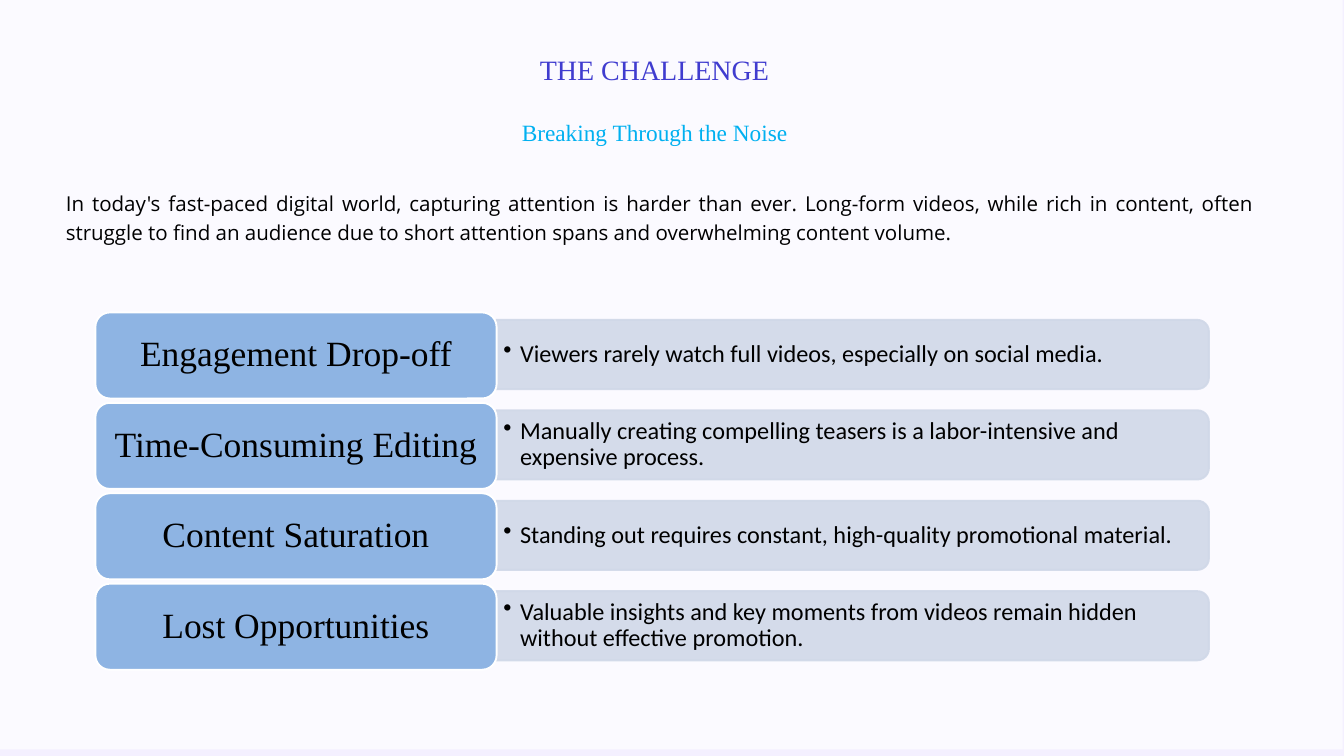
from dataclasses import dataclass

from lxml import etree
from pptx import Presentation
from pptx.dml.color import RGBColor
from pptx.enum.shapes import MSO_SHAPE
from pptx.enum.text import MSO_ANCHOR, MSO_AUTO_SIZE, PP_ALIGN
from pptx.oxml.ns import qn
from pptx.util import Inches, Pt

RECTANGLE = MSO_SHAPE.RECTANGLE
ROUNDED = MSO_SHAPE.ROUNDED_RECTANGLE
ROUNDED_TOP = MSO_SHAPE.ROUND_2_SAME_RECTANGLE
TOP, MIDDLE = MSO_ANCHOR.TOP, MSO_ANCHOR.MIDDLE
LEFT, CENTER, JUSTIFY = PP_ALIGN.LEFT, PP_ALIGN.CENTER, PP_ALIGN.JUSTIFY
GROW = MSO_AUTO_SIZE.SHAPE_TO_FIT_TEXT
NO_FIT = MSO_AUTO_SIZE.NONE

SLIDE_WIDTH, SLIDE_HEIGHT = 20, 11.25
COLUMNS = ROWS = 100
FIRST_ROW, ROW_PITCH = 41.33, 11.96

CHALLENGES = [
    ("Engagement Drop-off",
     "Viewers rarely watch full videos, especially on social media."),
    ("Time-Consuming Editing",
     "Manually creating compelling teasers is a labor-intensive and expensive process."),
    ("Content Saturation",
     "Standing out requires constant, high-quality promotional material."),
    ("Lost Opportunities",
     "Valuable insights and key moments from videos remain hidden without effective promotion."),
]
INTRO = ("In today's fast-paced digital world, capturing attention is harder than ever. "
         "Long-form videos, while rich in content, often struggle to find an audience due to "
         "short attention spans and overwhelming content volume.")


@dataclass(frozen=True)
class TextStyle:
    """Font, size, colour and paragraph layout of one kind of text."""
    font: str
    size: float
    color: str
    align: PP_ALIGN
    spacing: float
    anchor: MSO_ANCHOR = TOP
    insets: tuple = (0, 0)
    margin: float = 0
    bullet: str = ""


@dataclass(frozen=True)
class Theme:
    """Colours and type styles of the slide."""
    backdrop: str = "F4F0FF"
    sheet: str = "FBFAFF"
    card: str = "8EB4E3"
    card_edge: str = "FFFFFF"
    panel: str = "D0D8E8"
    panel_opacity: int = 90
    edge: float = 2
    title: TextStyle = TextStyle("Times New Roman", 30, "403CCF", CENTER, Pt(30))
    subtitle: TextStyle = TextStyle("Times New Roman", 25, "00B0F0", CENTER, Pt(83.8))
    intro: TextStyle = TextStyle("Open Sans", 22, "000000", JUSTIFY, Pt(31.2), margin=0.16)
    label: TextStyle = TextStyle("Times New Roman", 38, "000000", CENTER, 0.9, MIDDLE,
                                 (0.16, 0.08))
    detail: TextStyle = TextStyle("Calibri", 26, "000000", LEFT, 0.9, MIDDLE,
                                  (0.11, 0.05), 0.25, "•")


class ChallengeSlide:
    """Draws elements on one page, measured in grid columns and rows."""

    def __init__(self, page, theme):
        self.page = page
        self.theme = theme

    def place(self, left, top, width, height):
        """Turn grid columns and rows into slide lengths."""
        column, row = SLIDE_WIDTH / COLUMNS, SLIDE_HEIGHT / ROWS
        return (Inches(left * column), Inches(top * row),
                Inches(width * column), Inches(height * row))

    def shape(self, kind, bounds, fill, edge=None):
        """Add a flat preset shape at slide lengths."""
        shape = self.page.shapes.add_shape(kind, *bounds)
        shape.shadow.inherit = False
        shape.fill.solid()
        shape.fill.fore_color.rgb = RGBColor.from_string(fill)
        if edge:
            shape.line.color.rgb = RGBColor.from_string(edge)
            shape.line.width = Pt(self.theme.edge)
        else:
            shape.line.fill.background()
        return shape

    def layer(self, left, top, fill):
        """Add a slide-sized background layer."""
        self.shape(RECTANGLE, self.place(left, top, COLUMNS, ROWS), fill)

    def fill_text(self, box, content, style):
        """Set the single paragraph of a box in a text style."""
        frame = box.text_frame
        frame.word_wrap = True
        frame.vertical_anchor = style.anchor
        frame.margin_left = frame.margin_right = Inches(style.insets[0])
        frame.margin_top = frame.margin_bottom = Inches(style.insets[1])
        para = frame.paragraphs[0]
        para.alignment = style.align
        para.line_spacing = style.spacing
        if style.margin:
            para.level = 1
            properties = para._p.get_or_add_pPr()
            properties.set("marL", str(Inches(style.margin)))
            properties.set("indent", str(-Inches(style.margin) if style.bullet else 0))
            if style.bullet:
                etree.SubElement(properties, qn("a:buChar"), char=style.bullet)
        span = para.add_run()
        span.text = content
        span.font.name = style.font
        span.font.size = Pt(style.size)
        span.font.color.rgb = RGBColor.from_string(style.color)

    def text(self, left, top, width, height, content, style, fit=NO_FIT):
        """Add a text box."""
        box = self.page.shapes.add_textbox(*self.place(left, top, width, height))
        self.fill_text(box, content, style)
        box.text_frame.auto_size = fit

    def panel(self, left, top, width, height):
        """Add a translucent panel rounded on its right side."""
        x, y, across, down = self.place(left, top, width, height)
        shift = (across - down) // 2
        panel = self.shape(ROUNDED_TOP, (x + shift, y - shift, down, across),
                           self.theme.panel, self.theme.panel)
        panel.rotation = 90
        for color in panel._element.spPr.iter(qn("a:srgbClr")):
            etree.SubElement(color, qn("a:alpha"), val=str(self.theme.panel_opacity * 1000))

    def card(self, left, top, width, height, content):
        """Add a rounded label card."""
        card = self.shape(ROUNDED, self.place(left, top, width, height),
                          self.theme.card, self.theme.card_edge)
        self.fill_text(card, content, self.theme.label)

    def challenge(self, top, label, detail):
        """Add one row: panel, detail and label card."""
        self.panel(36.9, top + 0.98, 53.05, 9.16)
        self.text(36.9, top + 1.43, 52.8, 8.27, detail, self.theme.detail)
        self.card(7.1, top, 29.85, 11.38, label)


def main():
    """Build and save the deck."""
    deck = Presentation()
    deck.slide_width, deck.slide_height = Inches(SLIDE_WIDTH), Inches(SLIDE_HEIGHT)
    theme = Theme()
    slide = ChallengeSlide(deck.slides.add_slide(deck.slide_layouts[6]), theme)
    slide.layer(0, 0, theme.backdrop)
    slide.layer(-0.1, -0.89, theme.sheet)
    slide.text(37.15, 7.73, 23.1, 3.73, "THE CHALLENGE", theme.title, GROW)
    slide.text(14.7, 8.98, 68, 9.16, "Breaking Through the Noise", theme.subtitle)
    slide.text(4.1, 24.71, 89.15, 7.47, INTRO, theme.intro, GROW)
    for index, (label, detail) in enumerate(CHALLENGES):
        slide.challenge(FIRST_ROW + index * ROW_PITCH, label, detail)
    deck.save("out.pptx")


if __name__ == "__main__":
    main()
